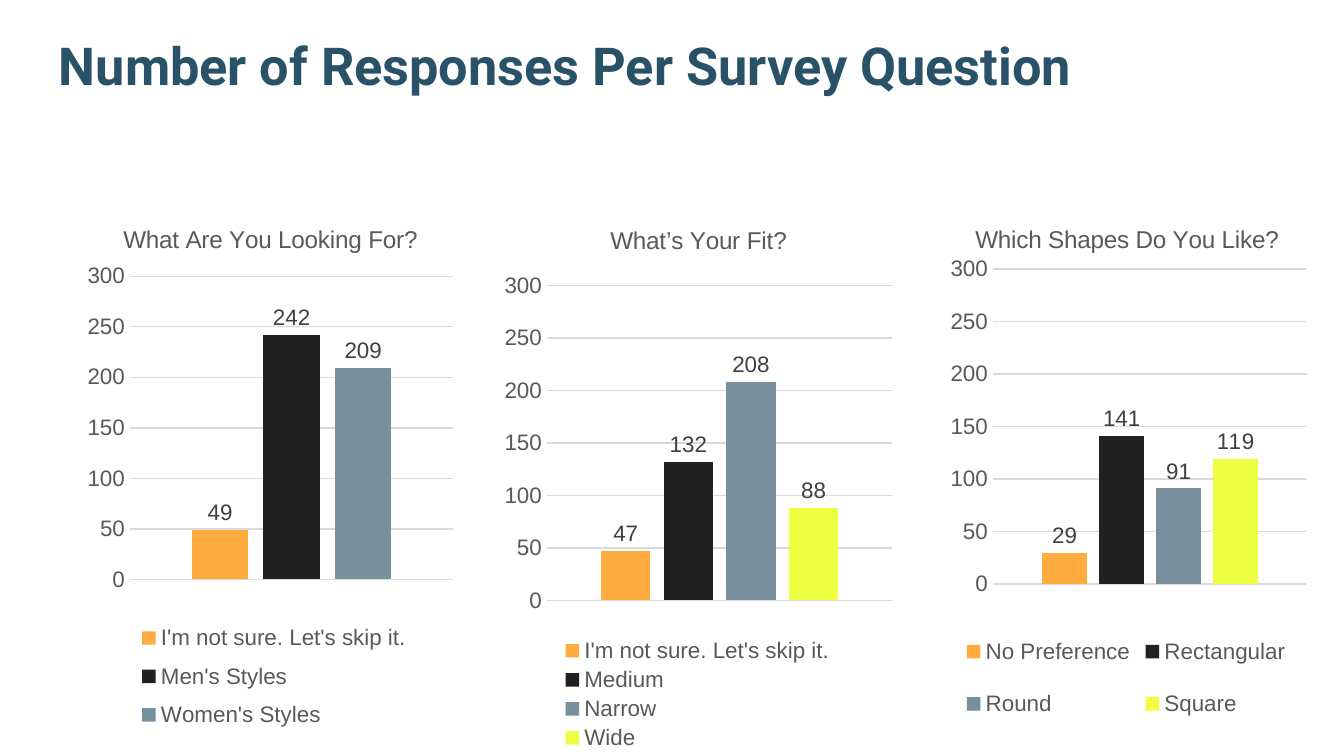
from lxml import etree
from pptx import Presentation
from pptx.chart.data import CategoryChartData
from pptx.dml.color import RGBColor
from pptx.enum import chart as ch
from pptx.oxml import ns
from pptx.util import Inches, Pt

COLORS = {
    "title": "295269", "text": "595959", "label": "404040", "grid": "D9D9D9",
    "bars": ["FFAB40", "212121", "78909C", "EEFF41"],
}
SKIP = "I'm not sure. Let's skip it."

# Each box holds percentages of the chart area: x, y and, where sized, w, h
CHARTS = [
    {"left": 0.51, "title": "What Are You Looking For?",
     "data": {SKIP: 49, "Men's Styles": 242, "Women's Styles": 209},
     "head": (12.5, 3.1), "plot": (15.3, 13.3, 80.1, 54.9),
     "key": (17, 74, 68, 23.5)},
    {"left": 3.69, "title": "What’s Your Fit?",
     "data": {SKIP: 47, "Medium": 132, "Narrow": 208, "Wide": 88},
     "head": (27.3, 3.3), "plot": (12.7, 15, 85.6, 57),
     "key": (16, 78, 68, 22)},
    {"left": 6.88, "title": "Which Shapes Do You Like?",
     "data": {"No Preference": 29, "Rectangular": 141, "Round": 91,
              "Square": 119},
     "head": (11.5, 3.1), "plot": (17, 12, 77.9, 57),
     "key": (8.5, 74, 83, 24)},
]


def style(font, size, color, name="Arial", bold=False):
    font.size, font.name, font.bold = Pt(size), name, bold
    font.color.rgb = RGBColor.from_string(color)


def place(node, index, box, inner=False):
    """Give a chart part a manual layout."""
    for old in node.findall(ns.qn("c:layout")):
        node.remove(old)
    layout = etree.Element(ns.qn("c:layout"))
    manual = etree.SubElement(layout, ns.qn("c:manualLayout"))
    tags = [("layoutTarget", "inner")] if inner else []
    tags += [("xMode", "edge"), ("yMode", "edge")]
    tags += [(side, round(part / 100, 3)) for side, part in zip("xywh", box)]
    for tag, val in tags:
        etree.SubElement(manual, ns.qn("c:" + tag)).set("val", str(val))
    node.insert(index, layout)


def add_title(slide, words):
    box = slide.shapes.add_textbox(
        Inches(0.34), Inches(0.15), Inches(9.32), Inches(0.63))
    frame = box.text_frame
    frame.word_wrap = True
    frame.margin_left = frame.margin_right = Inches(0.1)
    frame.margin_top = frame.margin_bottom = Inches(0.1)
    frame.text = words
    style(frame.paragraphs[0].runs[0].font, 28, COLORS["title"], "Roboto", True)


def set_axes(chart):
    chart.category_axis.visible = False
    axis = chart.value_axis
    axis.minimum_scale, axis.maximum_scale, axis.major_unit = 0, 300, 50
    axis.major_tick_mark = ch.XL_TICK_MARK.NONE
    axis.format.line.fill.background()
    style(axis.tick_labels.font, 12, COLORS["text"])
    line = axis.major_gridlines.format.line
    line.width = Pt(0.75)
    line.color.rgb = RGBColor.from_string(COLORS["grid"])


def set_bars(plot):
    plot.gap_width, plot.overlap = 219, -27
    plot.vary_by_categories = False
    for bar, color in zip(plot.series, COLORS["bars"]):
        bar.format.fill.solid()
        bar.format.fill.fore_color.rgb = RGBColor.from_string(color)
        labels = bar.data_labels
        labels.show_value = True
        labels.position = ch.XL_LABEL_POSITION.OUTSIDE_END
        style(labels.font, 12, COLORS["label"])


def add_chart(slide, item):
    data = CategoryChartData()
    data.categories = ["1"]
    for name, count in item["data"].items():
        data.add_series(name, [count])
    chart = slide.shapes.add_chart(
        ch.XL_CHART_TYPE.COLUMN_CLUSTERED, Inches(item["left"]), Inches(1.51),
        Inches(3), Inches(4.11), data).chart
    style(chart.font, 10, "000000")
    set_axes(chart)
    plot = chart.plots[0]
    set_bars(plot)
    place(plot._element.getparent(), 0, item["plot"], inner=True)

    # Heading
    chart.has_title = True
    frame = chart.chart_title.text_frame
    frame.text = item["title"]
    style(frame.paragraphs[0].runs[0].font, 13, COLORS["text"])
    place(chart.chart_title._element, 1, item["head"])

    # Legend
    chart.has_legend = True
    legend = chart.legend
    legend.position = ch.XL_LEGEND_POSITION.BOTTOM
    legend.include_in_layout = False
    style(legend.font, 12, COLORS["text"])
    place(legend._element, 1, item["key"])


def main():
    deck = Presentation()
    # Widescreen, 16 to 9
    deck.slide_width, deck.slide_height = Inches(10), Inches(10 * 9 / 16)
    slide = deck.slides.add_slide(deck.slide_layouts[6])
    for item in CHARTS:
        add_chart(slide, item)
    add_title(slide, "Number of Responses Per Survey Question")
    deck.save("out.pptx")


if __name__ == "__main__":
    main()
